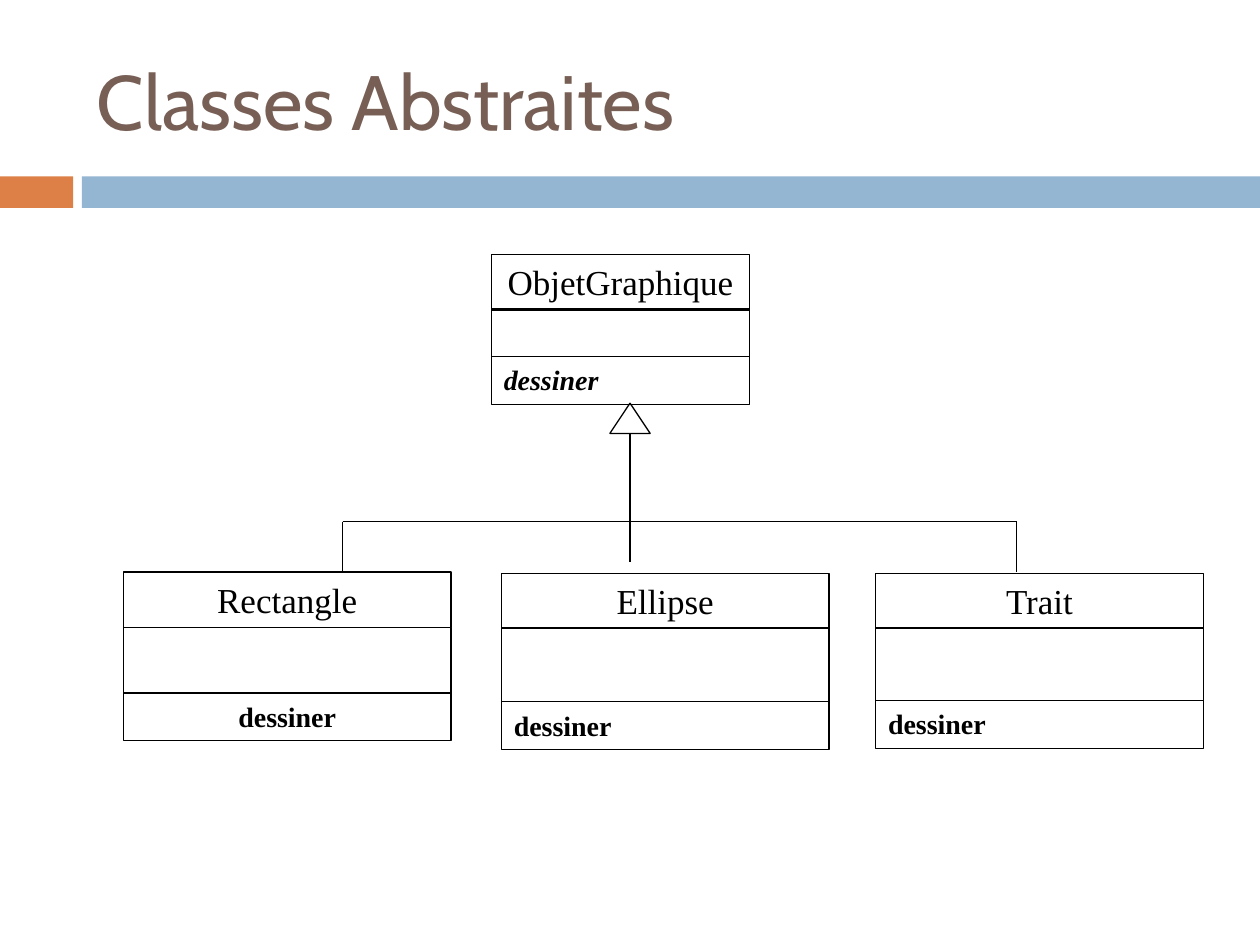
import dataclasses

import lxml.etree
import pptx
import pptx.dml.color
import pptx.enum.shapes
import pptx.enum.text
import pptx.oxml.ns
import pptx.util

Inches = pptx.util.Inches
Shape = pptx.enum.shapes.MSO_SHAPE
Align = pptx.enum.text.PP_ALIGN
Anchor = pptx.enum.text.MSO_ANCHOR
AutoSize = pptx.enum.text.MSO_AUTO_SIZE


@dataclasses.dataclass(frozen=True)
class Theme:
    accent: str = "DD8047"
    band: str = "94B6D2"
    title: str = "775F55"
    ink: str = "000000"
    title_font: str = "Cabin"
    diagram_font: str = "Times New Roman"
    title_size: float = 44
    class_size: float = 20
    method_size: float = 16
    line_width: float = 0.75


def rgb(value):
    return pptx.dml.color.RGBColor.from_string(value)


def write_text(shape, text, *, font, size, color, align=Align.LEFT,
               anchor=Anchor.TOP, bold=False, italic=False, fit=AutoSize.NONE):
    frame = shape.text_frame
    frame.word_wrap = True
    frame.auto_size = fit
    frame.vertical_anchor = anchor
    paragraph = frame.paragraphs[0]
    paragraph.alignment = align
    run = paragraph.add_run()
    run.text = text
    run.font.name = font
    run.font.size = pptx.util.Pt(size)
    run.font.color.rgb = rgb(color)
    run.font.bold = bold
    run.font.italic = italic


class ClassDiagram:
    """Draws class diagram elements on one slide in one style."""

    def __init__(self, slide, theme):
        self.slide = slide
        self.theme = theme

    def title(self, text, left, top, width, height):
        box = self.slide.shapes.add_textbox(*map(Inches, (left, top, width, height)))
        write_text(box, text, font=self.theme.title_font, size=self.theme.title_size,
                   color=self.theme.title, anchor=Anchor.MIDDLE)

    def bar(self, left, top, width, height, color):
        shape = self.slide.shapes.add_shape(
            Shape.RECTANGLE, *map(Inches, (left, top, width, height)))
        shape.shadow.inherit = False
        shape.fill.solid()
        shape.fill.fore_color.rgb = rgb(color)
        shape.line.fill.background()

    def outline(self, kind, left, top, width, height, parent=None):
        shapes = (parent or self.slide).shapes
        shape = shapes.add_shape(kind, *map(Inches, (left, top, width, height)))
        shape.shadow.inherit = False
        shape.fill.background()
        shape.line.color.rgb = rgb(self.theme.ink)
        shape.line.width = pptx.util.Pt(self.theme.line_width)
        return shape

    def class_box(self, name, left, tops, width, method_align=Align.LEFT, italic=False):
        name_top, fields_top, method_top = tops
        group = self.slide.shapes.add_group_shape()
        heading = self.outline(Shape.RECTANGLE, left, name_top, width, 0.44, group)
        self.outline(Shape.RECTANGLE, left, fields_top, width,
                     method_top - fields_top, group)
        method = self.outline(Shape.RECTANGLE, left, method_top, width, 0.38, group)
        style = dict(font=self.theme.diagram_font, color=self.theme.ink,
                     fit=AutoSize.SHAPE_TO_FIT_TEXT)
        write_text(heading, name, size=self.theme.class_size, align=Align.CENTER, **style)
        write_text(method, "dessiner", size=self.theme.method_size, bold=True,
                   italic=italic, align=method_align, **style)

    def line(self, start, end):
        connector = self.slide.shapes.add_connector(
            pptx.enum.shapes.MSO_CONNECTOR.STRAIGHT, *map(Inches, (*start, *end)))
        connector.line.color.rgb = rgb(self.theme.ink)
        connector.line.width = pptx.util.Pt(self.theme.line_width)
        properties = connector._element.spPr
        lxml.etree.SubElement(properties, pptx.oxml.ns.qn("a:effectLst"))


def main():
    presentation = pptx.Presentation()
    presentation.slide_width = Inches(10)
    presentation.slide_height = Inches(7.5)
    slide = presentation.slides.add_slide(presentation.slide_layouts[6])
    theme = Theme()
    diagram = ClassDiagram(slide, theme)

    diagram.bar(0, 1.4, 0.58, 0.25, theme.accent)
    diagram.bar(0.65, 1.4, 9.35, 0.25, theme.band)
    diagram.title("Classes Abstraites", 0.67, 0.25, 8.92, 1.08)

    diagram.class_box("ObjetGraphique", 3.9, (2.02, 2.45, 2.83), 2.05, italic=True)
    subclass_width = 2.6
    for name, left, tops, align in (
        ("Rectangle", 0.98, (4.54, 4.98, 5.5), Align.CENTER),
        ("Ellipse", 3.98, (4.55, 4.98, 5.57), Align.LEFT),
        ("Trait", 6.95, (4.55, 4.98, 5.56), Align.LEFT),
    ):
        diagram.class_box(name, left, tops, subclass_width, align)

    trunk, branch_left, branch_right, branch_top = 5, 2.72, 8.07, 4.14
    arrow_width = 0.32
    diagram.outline(Shape.ISOSCELES_TRIANGLE, trunk - arrow_width / 2, 3.2,
                    arrow_width, 0.24)
    diagram.line((trunk, 3.44), (trunk, 4.46))
    diagram.line((branch_left, branch_top), (branch_right, branch_top))
    for branch in (branch_left, branch_right):
        diagram.line((branch, branch_top), (branch, 4.54))

    presentation.save("out.pptx")


main()
